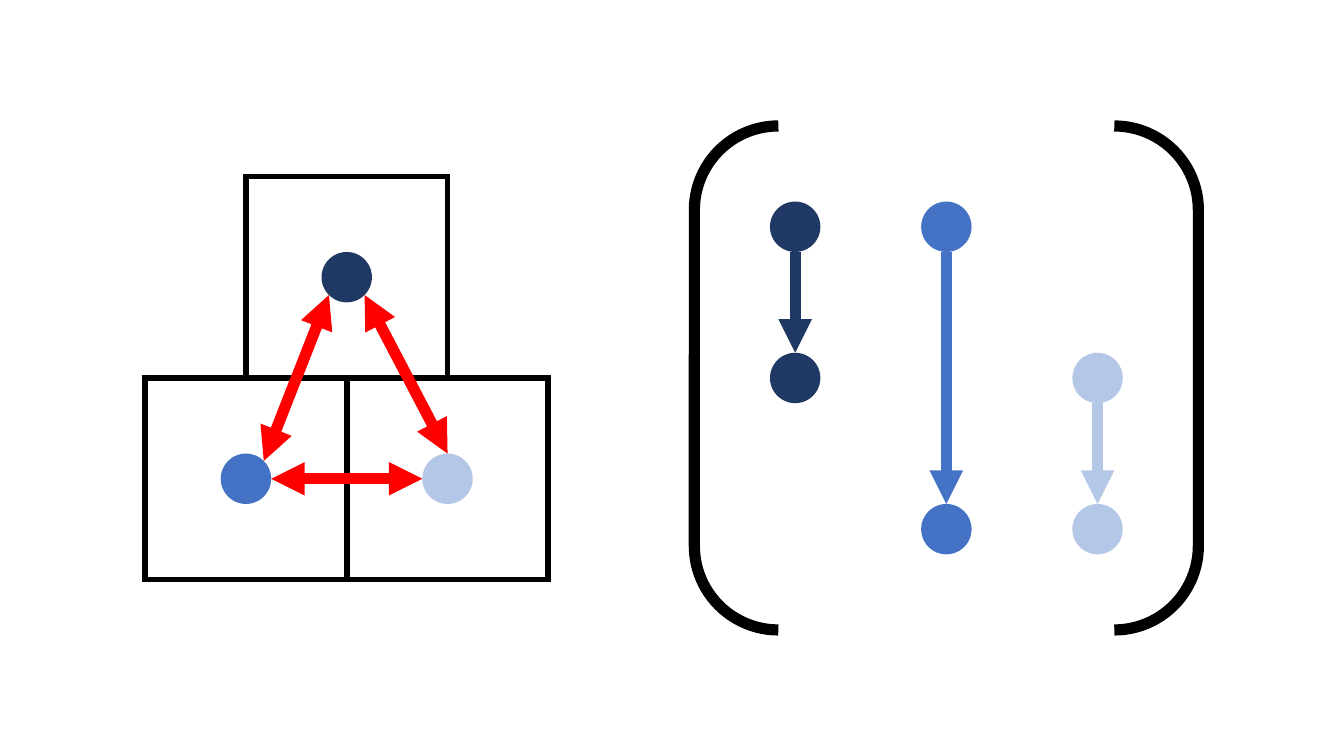
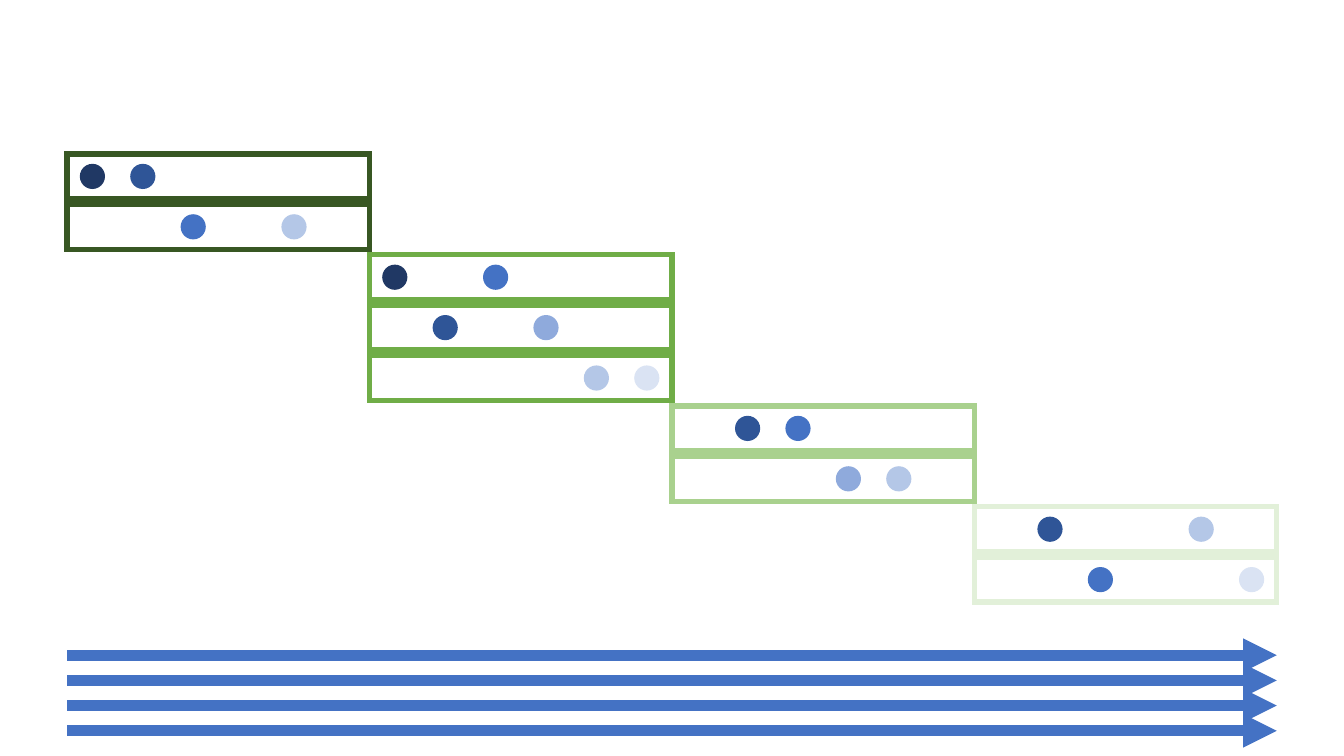
from math import cos, radians, sin

from lxml.etree import SubElement
from pptx import Presentation
from pptx.dml.color import RGBColor
from pptx.enum.shapes import MSO_CONNECTOR, MSO_SHAPE
from pptx.oxml.ns import qn
from pptx.util import Pt

BLACK, RED = "000000", "FF0000"
BLUES = ["203864", "2F5597", "4472C4", "8FAADC", "B4C7E7", "DAE3F3"]
NAVY, BLUE, PALE = BLUES[0], BLUES[2], BLUES[4]
THIN, THICK = 4, 8

# Connection sites of an ellipse, counted anticlockwise from the top
TOP, LEFT, BOTTOM_LEFT, BOTTOM, BOTTOM_RIGHT, RIGHT, TOP_RIGHT = 0, 2, 3, 4, 5, 6, 7

# Each stage: outline colour, then the filled slots of each row
STAGES = [
    ("385723", [(0, 1), (2, 4)]),
    ("70AD47", [(0, 2), (1, 3), (4, 5)]),
    ("A9D18E", [(1, 2), (3, 4)]),
    ("E2F0D9", [(1, 4), (2, 5)]),
]


def rgb(color):
    return RGBColor.from_string(color)


def style_line(line, color, width):
    line.color.rgb = rgb(color)
    line.width = Pt(width)


def add_outline(shapes, kind, x, y, w, h, color, width):
    """Add an unfilled shape with sharp corners."""
    sp = shapes.add_shape(kind, Pt(x), Pt(y), Pt(w), Pt(h))
    sp.shadow.inherit = False
    sp.fill.background()
    style_line(sp.line, color, width)
    SubElement(sp.line._get_or_add_ln(), qn("a:miter"), lim="800000")
    return sp


def add_dot(shapes, cx, cy, diameter, color):
    r = diameter / 2
    sp = shapes.add_shape(MSO_SHAPE.OVAL, Pt(cx - r), Pt(cy - r), Pt(diameter), Pt(diameter))
    sp.shadow.inherit = False
    sp.fill.solid()
    sp.fill.fore_color.rgb = rgb(color)
    sp.line.fill.background()
    return sp


def add_arrow(shapes, start, end, color, both=False):
    c = shapes.add_connector(MSO_CONNECTOR.STRAIGHT, *map(Pt, start + end))
    style_line(c.line, color, THICK)
    ln = c.line._get_or_add_ln()
    for tag in ("a:headEnd", "a:tailEnd") if both else ("a:tailEnd",):
        SubElement(ln, qn(tag), type="triangle")
    SubElement(c._element.spPr, qn("a:effectLst"))
    return c


def rim_point(dot, site):
    """Return the position of a connection site of a dot, in points."""
    angle = radians(90 + 45 * site)
    r = dot.width.pt / 2
    return dot.left.pt + r + r * cos(angle), dot.top.pt + r - r * sin(angle)


def join_dots(shapes, a, a_site, b, b_site, color, both=False):
    """Draw an arrow between two dots and attach it to both."""
    c = add_arrow(shapes, rim_point(a, a_site), rim_point(b, b_site), color, both)
    ends = c._element.find(".//" + qn("p:cNvCxnSpPr"))
    for tag, dot, site in (("a:stCxn", a, a_site), ("a:endCxn", b, b_site)):
        SubElement(ends, qn(tag), id=str(dot.shape_id), idx=str(site))


def draw_cell_triangle(shapes):
    side, mid_x, mid_y = 144, 247.7, 270
    cells = shapes.add_group_shape().shapes
    for x, y in ((mid_x - side, mid_y), (mid_x, mid_y), (mid_x - side / 2, mid_y - side)):
        add_outline(cells, MSO_SHAPE.RECTANGLE, x, y, side, side, BLACK, THIN)

    dots = shapes.add_group_shape().shapes
    top, left, right = [
        add_dot(dots, mid_x + dx, mid_y + dy, 36, color)
        for dx, dy, color in ((0, -72, NAVY), (-72, 72, BLUE), (72, 72, PALE))
    ]
    join_dots(shapes, top, BOTTOM_LEFT, left, TOP_RIGHT, RED, both=True)
    join_dots(shapes, top, BOTTOM_RIGHT, right, TOP, RED, both=True)
    join_dots(shapes, right, LEFT, left, RIGHT, RED, both=True)


def draw_matrix(shapes):
    left, top, pitch = 496, 90, 108
    add_outline(shapes, MSO_SHAPE.DOUBLE_BRACKET, left, top, 360, 360, BLACK, THICK)
    for col, (color, *rows) in enumerate(((NAVY, 0, 1), (BLUE, 0, 2), (PALE, 1, 2))):
        a, b = [add_dot(shapes, left + 72 + col * pitch, top + 72 + row * pitch, 36, color)
                for row in rows]
        join_dots(shapes, a, BOTTOM, b, TOP, color)


def draw_stages(shapes, left, top, width):
    pitch, box_h, stage_w = 36, 32.4, width / len(STAGES)
    y = top + pitch / 2
    for i, (color, rows) in enumerate(STAGES):
        x = left + i * stage_w
        for slots in rows:
            row = shapes.add_group_shape().shapes
            for slot in slots:
                add_dot(row, x + (slot + 0.5) * pitch, y, 18, BLUES[slot])
            add_outline(row, MSO_SHAPE.RECTANGLE, x, y - box_h / 2, stage_w, box_h, color, THIN)
            y += pitch


def main():
    prs = Presentation()
    prs.slide_width, prs.slide_height = Pt(960), Pt(540)
    cells, timeline = [prs.slides.add_slide(prs.slide_layouts[6]).shapes for _ in range(2)]

    draw_cell_triangle(cells)
    draw_matrix(cells)

    left, width = 48, 864
    draw_stages(timeline, left, 108, width)
    for i in range(4):
        y = 468 + 18 * i
        add_arrow(timeline, (left, y), (left + width, y), BLUE)

    prs.save("out.pptx")


if __name__ == "__main__":
    main()
